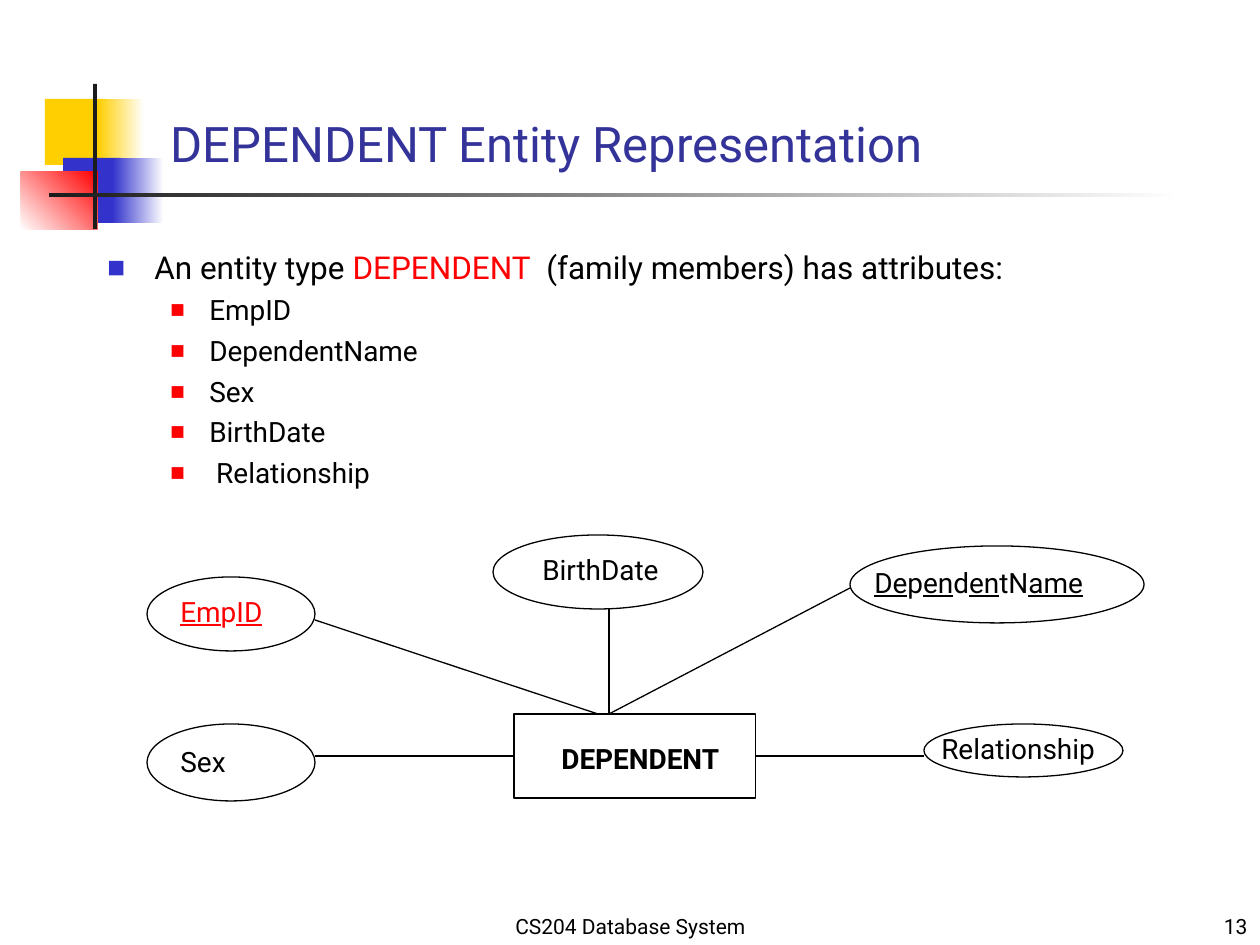
"""Build the slide on the DEPENDENT entity and its attributes."""
from lxml import etree
from pptx import Presentation
from pptx import util as u
from pptx.dml.color import RGBColor
from pptx.enum import shapes, text
from pptx.oxml import ns

PX = 914400 // 126
BLACK = RGBColor(0, 0, 0)
WHITE = RGBColor(255, 255, 255)
RED = RGBColor(255, 0, 0)
BLUE = RGBColor(0x33, 0x33, 0xCC)
NAVY = RGBColor(0x33, 0x33, 0x99)
GOLD = RGBColor(0xFF, 0xCF, 0x01)
DARK = RGBColor(0x1C, 0x1C, 0x1C)
RECT = shapes.MSO_SHAPE.RECTANGLE
OVAL = shapes.MSO_SHAPE.OVAL


def scale(*sizes):
    return [size * PX for size in sizes]


def write(para, words, size=16, ink=BLACK, bold=False, under=False):
    run = para.add_run()
    run.text = words
    font = run.font
    font.name = "Roboto"
    font.size = u.Pt(size)
    font.bold = bold
    font.underline = under
    font.color.rgb = ink


deck = Presentation()
deck.slide_width, deck.slide_height = u.Inches(10), u.Inches(7.5)
slide = deck.slides.add_slide(deck.slide_layouts[5])
items = slide.shapes

decor = [
    ((45, 99, 61, 66), GOLD, None, 0),
    ((98, 99, 46, 66), GOLD, WHITE, 0),
    ((63, 158, 58, 65), BLUE, None, 0),
    ((113, 158, 51, 65), BLUE, WHITE, 0),
    ((21, 172, 77, 58), WHITE, RED, 45),
    ((93, 84, 4, 145), DARK, None, 0),
    ((49, 193, 1134, 4), DARK, WHITE, 0),
]
for place, start, end, angle in decor:
    block = items.add_shape(RECT, *scale(*place))
    block.shadow.inherit = False
    block.line.fill.background()
    if end is None:
        block.fill.solid()
        block.fill.fore_color.rgb = start
    else:
        block.fill.gradient()
        block.fill.gradient_angle = angle
        for stop, tone in zip(block.fill.gradient_stops, (start, end)):
            stop.color.rgb = tone

title = items.title
title.left, title.top, title.width, title.height = scale(158, 95, 1073, 84)
title.text_frame.vertical_anchor = text.MSO_ANCHOR.BOTTOM
para = title.text_frame.paragraphs[0]
para.alignment = text.PP_ALIGN.LEFT
write(para, "DEPENDENT Entity Representation", size=28, ink=NAVY)

footers = [
    (431, 399, "CS204 Database System", text.PP_ALIGN.CENTER),
    (998, 262, "13", text.PP_ALIGN.RIGHT),
]
for left, width, words, align in footers:
    frame = items.add_textbox(*scale(left, 892, width, 53)).text_frame
    frame.word_wrap = True
    frame.vertical_anchor = text.MSO_ANCHOR.BOTTOM
    frame.paragraphs[0].alignment = align
    write(frame.paragraphs[0], words, size=12)

body = items.add_textbox(*scale(95, 242, 1113, 651)).text_frame
body.word_wrap = True
lead = body.paragraphs[0]
write(lead, "An entity type ", size=18)
write(lead, "DEPENDENT", size=18, ink=RED)
write(lead, "  (family members) has attributes:", size=18)
for name in ("EmpID", "DependentName", "Sex", "BirthDate", " Relationship"):
    para = body.add_paragraph()
    para.level = 1
    para.space_before = u.Pt(4)
    write(para, name)

for para in body.paragraphs:
    margin, hang, tone, size = (102, 39, RED, 55) if para.level else (47, 47, BLUE, 60)
    props = para._p.get_or_add_pPr()
    props.set("marL", str(margin * PX))
    props.set("indent", str(-hang * PX))
    color = etree.SubElement(props, ns.qn("a:buClr"))
    etree.SubElement(color, ns.qn("a:srgbClr"), val=str(tone))
    etree.SubElement(props, ns.qn("a:buSzPct"), val=str(size * 1000))
    etree.SubElement(props, ns.qn("a:buFont"), typeface="Roboto")
    etree.SubElement(props, ns.qn("a:buChar"), char="■")

nodes = [
    (RECT, (514, 714, 242, 84)),
    (OVAL, (147, 577, 168, 74)),
    (OVAL, (924, 724, 199, 53)),
    (OVAL, (147, 724, 168, 77)),
    (OVAL, (493, 535, 210, 74)),
    (OVAL, (850, 546, 294, 77)),
]
for kind, place in nodes:
    node = items.add_shape(kind, *scale(*place))
    node.shadow.inherit = False
    node.fill.background()
    node.line.color.rgb = BLACK
    node.line.width = u.Pt(0.75)

plain = {}
strong = {"bold": True}
key = {"ink": RED, "under": True}
part = {"under": True}
labels = [
    ((929, 725, 188), [("Relationship", plain)]),
    ((549, 735, 193), [("DEPENDENT", strong)]),
    ((168, 588, 113), [("Em", key), ("p", {"ink": RED}), ("ID", key)]),
    ((168, 738, 71), [("Sex", plain)]),
    ((530, 546, 151), [("BirthDate", plain)]),
    ((862, 559, 251), [("De", part), ("p", plain), ("en", part), ("d", plain),
                       ("en", part), ("tN", plain), ("ame", part)]),
]
for (left, top, width), runs in labels:
    frame = items.add_textbox(*scale(left, top, width, 47)).text_frame
    frame.word_wrap = False
    frame.auto_size = text.MSO_AUTO_SIZE.SHAPE_TO_FIT_TEXT
    for words, style in runs:
        write(frame.paragraphs[0], words, **style)

links = [
    (514, 756, 315, 756),
    (756, 756, 924, 756),
    (598, 714, 315, 620),
    (609, 714, 609, 609),
    (609, 714, 850, 588),
]
for ends in links:
    link = items.add_connector(shapes.MSO_CONNECTOR.STRAIGHT, *scale(*ends))
    link.line.color.rgb = BLACK
    link.line.width = u.Pt(0.75)
    etree.SubElement(link._element.spPr, ns.qn("a:effectLst"))

deck.save("out.pptx")
